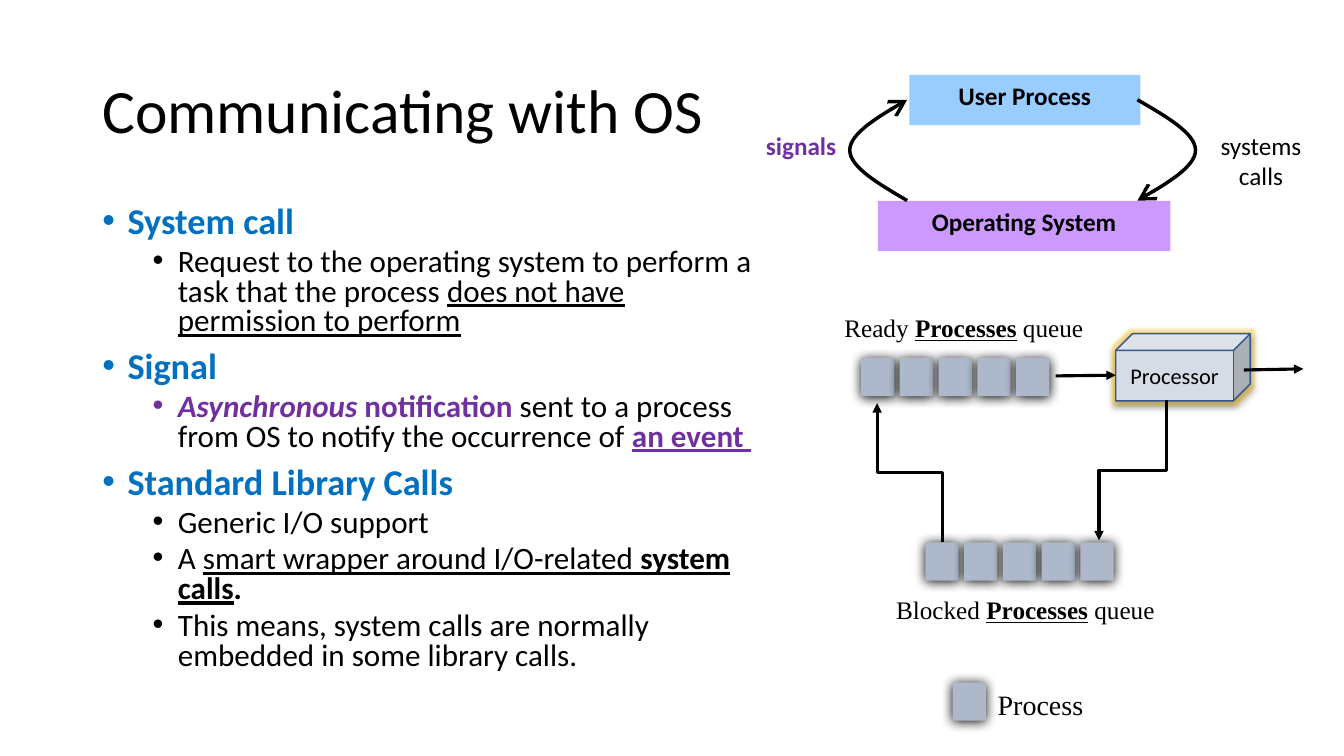
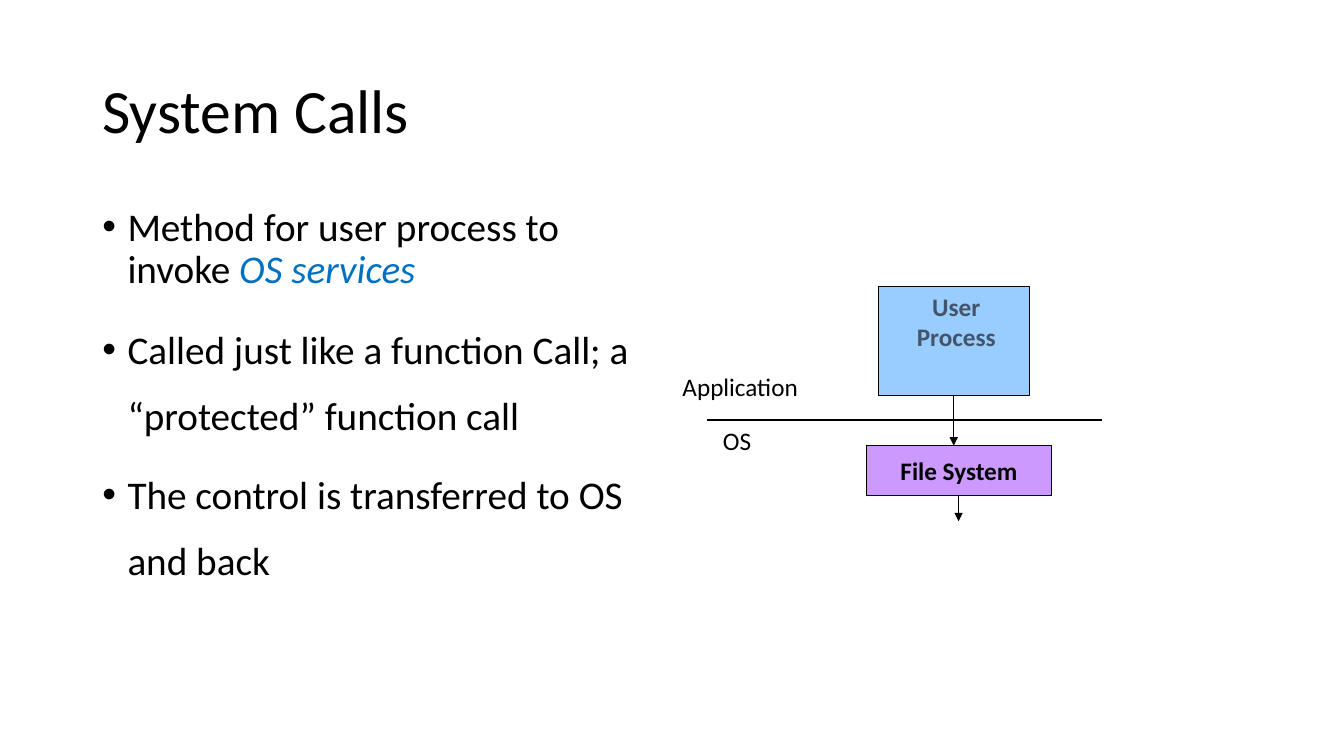
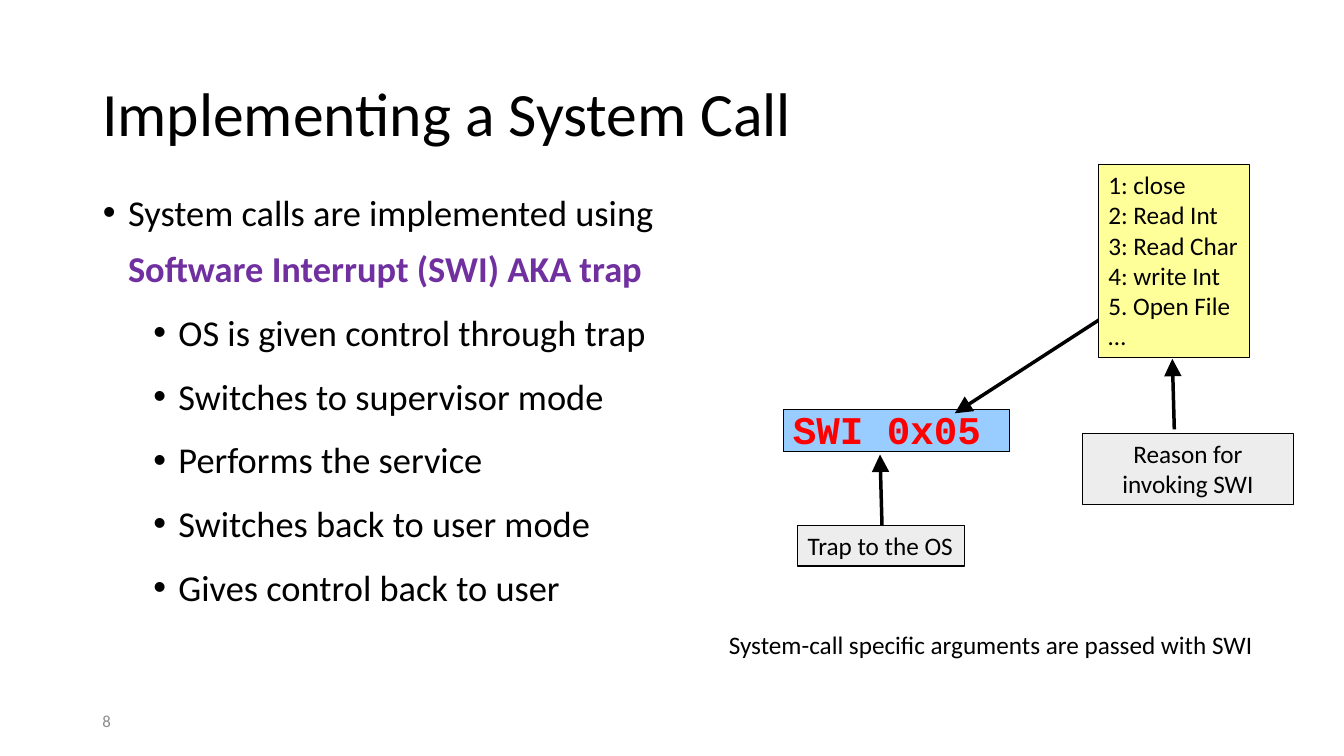
"""Build three slides on how processes talk to the operating system."""
from lxml import etree
from pptx import Presentation
from pptx.dml.color import RGBColor
from pptx.enum.shapes import MSO_CONNECTOR, MSO_SHAPE
from pptx.enum.text import MSO_ANCHOR, MSO_AUTO_SIZE, PP_ALIGN
from pptx.oxml.ns import qn
from pptx.util import Pt

STRAIGHT, ELBOW = MSO_CONNECTOR.STRAIGHT, MSO_CONNECTOR.ELBOW
RECT, CUBE = MSO_SHAPE.RECTANGLE, MSO_SHAPE.CUBE
TOP, MIDDLE = MSO_ANCHOR.TOP, MSO_ANCHOR.MIDDLE
LEFT, CENTER = PP_ALIGN.LEFT, PP_ALIGN.CENTER
FIT = MSO_AUTO_SIZE.SHAPE_TO_FIT_TEXT

COLORS = {
    "black": "000000", "blue": "0070C0", "purple": "7030A0", "red": "FF0000",
    "slate": "44546A", "gray": "8C8C8C", "sky": "99CCFF", "violet": "CC99FF",
    "process": "ADB9CA", "processor": "D6DCE5", "edge": "325491",
    "glow": "FFC000", "yellow": "FFFF99", "pale": "EDEDED",
}
SANS, SERIF, MONO = "Calibri", "Times New Roman", "Courier New"
PROCESS_SIZE = (23.8, 27.4)
QUEUE_PITCH = 27.7
HEAVY = 2.5


def rgb(name):
    """Return the named colour."""
    return RGBColor.from_string(COLORS[name])


def style_font(font, color=None, size=None, face=None, **flags):
    """Set the given properties on a font."""
    if color:
        font.color.rgb = rgb(color)
    if size:
        font.size = Pt(size)
    if face:
        font.name = face
    for flag, value in flags.items():
        setattr(font, flag, value)


def add_spans(para, spans):
    """Add plain strings and (text, style) pairs to a paragraph."""
    for span in [spans] if isinstance(spans, str) else spans:
        text, style = (span, {}) if isinstance(span, str) else span
        run = para.add_run()
        run.text = text
        style_font(run.font, **style)


def next_paragraph(frame, index):
    """Return the first paragraph, or a new one after it."""
    return frame.add_paragraph() if index else frame.paragraphs[0]


def write(box, lines, size=18, color="black", face=SANS, align=CENTER,
          anchor=TOP, wrap=True, fit=False, spacing=None, **flags):
    """Write lines of one style into a box."""
    frame = box.text_frame
    frame.word_wrap = wrap
    frame.vertical_anchor = anchor
    if fit:
        frame.auto_size = FIT
    for index, spans in enumerate(lines):
        para = next_paragraph(frame, index)
        para.alignment = align
        if spacing:
            para.line_spacing = spacing
        style_font(para.font, color, size, face, **flags)
        add_spans(para, spans)


def add_label(page, place, spans, **style):
    """Add a text box with a single paragraph or a list of lines."""
    box = page.shapes.add_textbox(*map(Pt, place))
    write(box, spans if isinstance(spans, list) else [spans], **style)


def add_title(page, text, top=29):
    """Add the slide title."""
    add_label(page, (66, top, 828, 104), text, size=44, align=LEFT,
              anchor=MIDDLE, spacing=0.9)


def add_bullets(page, place, items, sizes):
    """Add bullets given as (level, line spacing, spans, style)."""
    frame = page.shapes.add_textbox(*map(Pt, place)).text_frame
    frame.word_wrap = True
    for index, (level, spacing, spans, style) in enumerate(items):
        para = next_paragraph(frame, index)
        para.level = level
        para.line_spacing = spacing
        para.space_before = Pt(5 if level else 10)
        props = para._p.get_or_add_pPr()
        props.set("marL", str(Pt(18 + 36 * level)))
        props.set("indent", str(Pt(-18)))
        etree.SubElement(props, qn("a:buFont"), typeface="Arial")
        etree.SubElement(props, qn("a:buChar"), char="•")
        style_font(para.font, **{"color": "black", "size": sizes[level],
                                 "face": SANS, **style})
        add_spans(para, spans)


def add_block(page, place, fill, line=None, width=0.75, kind=RECT):
    """Add a filled shape without a shadow."""
    block = page.shapes.add_shape(kind, *map(Pt, place))
    block.shadow.inherit = False
    block.fill.solid()
    block.fill.fore_color.rgb = rgb(fill)
    if line:
        block.line.color.rgb = rgb(line)
        block.line.width = Pt(width)
    else:
        block.line.fill.background()
    return block


def add_effect(shape, kind, color, opacity, **lengths):
    """Add a glow or a downward shadow to a shape."""
    effects = shape._element.spPr.find(qn("a:effectLst"))
    effect = etree.SubElement(effects, qn(f"a:{kind}"))
    for name, points in lengths.items():
        effect.set(name, str(Pt(points)))
    if kind == "outerShdw":
        effect.set("dir", "5400000")
        effect.set("algn", "ctr")
        effect.set("rotWithShape", "0")
    tint = etree.SubElement(effect, qn("a:srgbClr"), val=COLORS[color])
    etree.SubElement(tint, qn("a:alpha"), val=str(opacity * 1000))


def add_process(page, left, top):
    """Add one process square with a soft shadow."""
    process = add_block(page, (left, top, *PROCESS_SIZE), "process")
    add_effect(process, "outerShdw", "black", 100, blurRad=8.5, dist=1)


def add_queue(page, left, top):
    """Add a row of five processes."""
    for index in range(5):
        add_process(page, left + index * QUEUE_PITCH, top)


def style_line(shape, width, head):
    """Make a line black, with an optional arrowhead at its end."""
    shape.line.color.rgb = rgb("black")
    shape.line.width = Pt(width)
    if head:
        outline = shape._element.spPr.find(qn("a:ln"))
        scale = "lg" if width >= HEAVY else "med"
        etree.SubElement(outline, qn("a:tailEnd"), type=head, w=scale,
                         len=scale)


def add_line(page, start, end, width, head="triangle", kind=STRAIGHT):
    """Add a connector between two points."""
    line = page.shapes.add_connector(kind, *map(Pt, (*start, *end)))
    style_line(line, width, head)
    etree.SubElement(line._element.spPr, qn("a:effectLst"))
    return line


def add_elbow(page, start, end, width=2.25):
    """Add a vertical-first elbow arrow that leads to the left."""
    (x1, y1), (x2, y2) = start, end
    mid_x, mid_y = (x1 + x2) / 2, (y1 + y2) / 2
    reach, down = abs(y2 - y1) / 2, y2 > y1
    rise = (x1 - x2) / 2 if down else (x2 - x1) / 2
    elbow = add_line(page, (mid_x - reach, mid_y - rise),
                     (mid_x + reach, mid_y + rise), width, kind=ELBOW)
    frame = elbow._element.spPr.find(qn("a:xfrm"))
    frame.set("rot", str((90 if down else 270) * 60000))


def bezier(points, t):
    """Return the point at t on a cubic curve."""
    weights = ((1 - t) ** 3, 3 * t * (1 - t) ** 2, 3 * t * t * (1 - t), t ** 3)
    return tuple(sum(w * p[axis] for w, p in zip(weights, points))
                 for axis in (0, 1))


def add_curve(page, x, start_y, end_y, bulge_x, steps=16):
    """Add a vertical arc with an open arrowhead that swells to bulge_x."""
    rise = end_y - start_y
    near_x, mid_y = (x + bulge_x) / 2, start_y + rise / 2
    halves = (
        ((x, start_y), (near_x, start_y + rise / 6),
         (bulge_x, start_y + rise / 3), (bulge_x, mid_y)),
        ((bulge_x, mid_y), (bulge_x, end_y - rise / 3),
         (near_x, end_y - rise / 6), (x, end_y)),
    )
    points = [bezier(half, step / steps)
              for half in halves for step in range(1, steps + 1)]
    builder = page.shapes.build_freeform(Pt(x), Pt(start_y))
    builder.add_line_segments([(Pt(px), Pt(py)) for px, py in points],
                              close=False)
    curve = builder.convert_to_shape()
    curve.shadow.inherit = False
    curve.fill.background()
    style_line(curve, HEAVY, "arrow")


def communicating_slide(page):
    """Show calls, signals and process queues."""
    add_title(page, "Communicating with OS")
    heading = {"color": "blue", "bold": True}
    under = {"underline": True}
    event = {"color": "purple", "bold": True}
    add_bullets(page, (66, 144, 481, 343), [
        (0, 0.8, "System call", heading),
        (1, 0.8, ["Request to the operating system to perform a task that "
                  "the process ",
                  ("does not have permission to perform", under)], {}),
        (0, 0.8, "Signal", heading),
        (1, 0.8, [("Asynchronous ", {**event, "italic": True}),
                  ("notification", event),
                  " sent to a process from OS to notify the occurrence of ",
                  ("an event ", {**event, **under})], {}),
        (0, 0.8, "Standard Library Calls", heading),
        (1, 0.8, "Generic I/O support", {}),
        (1, 0.8, ["A ", ("smart wrapper around I/O-related ", under),
                  ("system calls", {"bold": True, **under}),
                  (".", {"bold": True})], {}),
        (1, 0.8, "This means, system calls are normally embedded in some "
                 "library calls.", {}),
    ], (25.9, 22.2))

    for place, fill, name in (
            ((649.5, 53.5, 165, 36), "sky", "User Process"),
            ((627, 143.5, 209, 36), "violet", "Operating System")):
        write(add_block(page, place, fill), [name], bold=True)
    add_curve(page, 648, 143.3, 71.3, 607)
    add_curve(page, 812.5, 71.3, 143.3, 854)
    add_label(page, (540, 89.3, 65, 29), "signals", color="purple",
              bold=True, align=LEFT, wrap=False, fit=True)
    add_label(page, (859.7, 89.3, 82, 51), "systems calls", fit=True)

    add_queue(page, 661, 387.4)
    processor = add_block(page, (797, 238.3, 96, 48), "processor", "edge", 1,
                          CUBE)
    add_effect(processor, "glow", "glow", 40, rad=5)
    add_effect(processor, "outerShdw", "black", 40, blurRad=4, dist=3)
    write(processor, ["Processor"], size=16, anchor=MIDDLE)
    add_queue(page, 615, 255.5)
    add_elbow(page, (833, 286), (785, 386))
    add_elbow(page, (673, 387.5), (626.5, 288))
    add_line(page, (754, 268.5), (797, 268), 2.25)
    add_line(page, (888.5, 264.3), (931, 263.5), 2.25)
    for place, name in (((633, 421, 201, 29), "Blocked "),
                        ((596, 219.5, 187, 29), "Ready ")):
        spans = (name, ("Processes", {"bold": True, **under}), " queue")
        add_label(page, place, spans, face=SERIF, align=LEFT, wrap=False,
                  fit=True)
    add_process(page, 680.4, 487.4)
    add_label(page, (705.5, 487.2, 76, 31.5), "Process", size=20, face=SERIF,
              align=LEFT, wrap=False, fit=True)


def calls_slide(page):
    """Show a call that crosses from application to OS."""
    add_title(page, "System Calls")
    add_bullets(page, (66, 144.7, 414, 343), [
        (0, 0.9, ["Method for user process to invoke ",
                  ("OS services", {"color": "blue", "italic": True})], {}),
        (0, 1.4, "Called just like a function Call; a “protected” function "
                 "call", {}),
        (0, 1.4, "The control is transferred to OS and back", {}),
    ], (28,))

    files = add_block(page, (619, 318.3, 132, 36), "violet", "black")
    write(files, ["File System"], anchor=MIDDLE, bold=True)
    add_line(page, (684.7, 354.3), (684.7, 372.3), 1)
    add_line(page, (504.7, 300.3), (787, 300.3), 1.5, head=None)
    add_label(page, (465, 262, 127.5, 36), "Application")
    add_label(page, (504, 300, 45, 36), "OS", wrap=False)
    add_block(page, (627.3, 204.5, 108, 78), "sky", "black")
    add_label(page, (637.3, 204.5, 91.5, 65), ["User", "Process"],
              color="slate", bold=True)
    add_line(page, (681.3, 282.5), (681.3, 318.3), 1)


def implementing_slide(page):
    """Show the software interrupt and its call numbers."""
    add_label(page, (66, 500.5, 216, 28.8), "8", size=12, color="gray",
              align=LEFT, anchor=MIDDLE)
    add_title(page, "Implementing a System Call", top=31)
    steps = ("OS is given control through trap", "Switches to supervisor mode",
             "Performs the service", "Switches back to user mode",
             "Gives control back to user")
    add_bullets(page, (66.4, 122.6, 447, 407), [
        (0, 1.3, ["System calls are implemented using ",
                  ("Software Interrupt (SWI) AKA trap",
                   {"color": "purple", "bold": True})], {}),
        *((1, 1.3, step, {}) for step in steps),
    ], (26, 26))

    trap = add_block(page, (559.3, 292.8, 162, 30), "sky", "black")
    write(trap, ["SWI 0x05"], size=28, color="red", face=MONO, align=LEFT,
          spacing=0.8, bold=True)
    add_line(page, (792, 224), (682, 295.2), HEAVY)
    calls = add_block(page, (784.6, 117.4, 108, 138.2), "yellow", "black")
    write(calls, ["1: close", "2: Read Int", "3: Read Char", "4: write Int",
                  "5. Open File", "…"], align=LEFT, wrap=False, fit=True)
    add_line(page, (630, 375), (628.6, 324.7), HEAVY)
    note = add_block(page, (569.8, 375.3, 119.5, 29), "pale", "black")
    write(note, ["Trap to the OS"], align=LEFT, wrap=False, fit=True)
    add_label(page, (513.5, 446.2, 393, 29),
              "System-call specific arguments are passed with SWI",
              align=LEFT, wrap=False, fit=True)
    reason = add_block(page, (773.3, 309.6, 150.5, 51), "pale", "black")
    write(reason, ["Reason for invoking SWI"], fit=True)
    add_line(page, (838.8, 306.7), (837.4, 256.3), HEAVY)


def main():
    """Build and save the deck."""
    deck = Presentation()
    deck.slide_width, deck.slide_height = Pt(960), Pt(540)
    blank = deck.slide_layouts[6]
    for build in (communicating_slide, calls_slide, implementing_slide):
        build(deck.slides.add_slide(blank))
    deck.save("out.pptx")


main()
